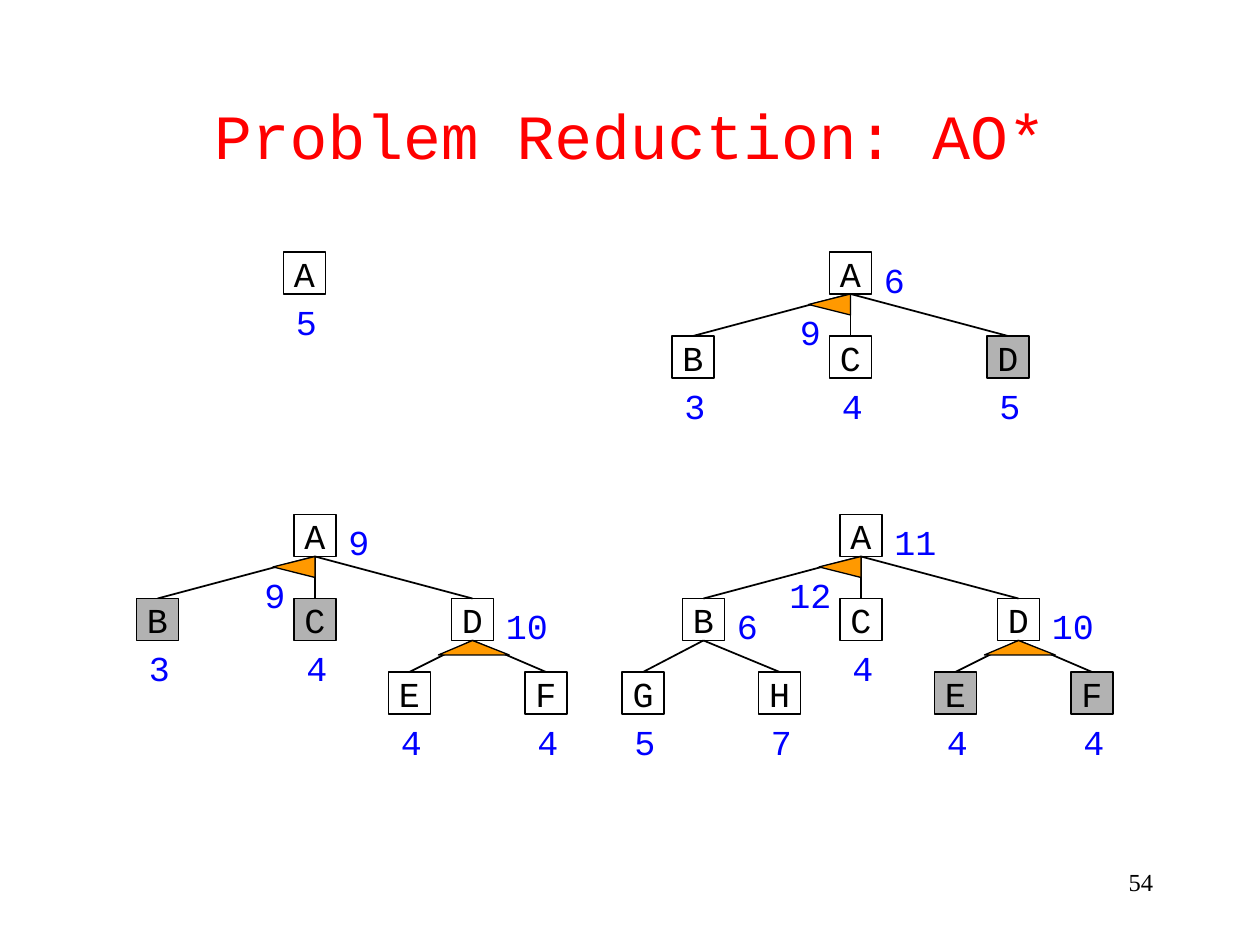
from dataclasses import dataclass
from typing import Any

from lxml import etree
from pptx import Presentation
from pptx.dml.color import RGBColor
from pptx.enum.shapes import MSO_CONNECTOR, MSO_SHAPE
from pptx.enum.text import MSO_ANCHOR, PP_ALIGN
from pptx.oxml.ns import qn
from pptx.util import Pt

PX = 9525
SIDE = 32
HALF = SIDE // 2
TALL = 42
MONO = "Courier New"
SERIF = "Times New Roman"
BLACK = RGBColor(0x00, 0x00, 0x00)
RED = RGBColor(0xFF, 0x00, 0x00)
BLUE = RGBColor(0x00, 0x00, 0xFF)
GREY = RGBColor(0xB2, 0xB2, 0xB2)
AMBER = RGBColor(0xFF, 0x99, 0x00)
RECT = MSO_SHAPE.RECTANGLE
LINE = MSO_CONNECTOR.STRAIGHT
TOP, MIDDLE = MSO_ANCHOR.TOP, MSO_ANCHOR.MIDDLE
LEFT, CENTER, RIGHT = PP_ALIGN.LEFT, PP_ALIGN.CENTER, PP_ALIGN.RIGHT

SIDE_ARC = ((0, 0), (-32, 8), (0, 16))
BASE_ARC = ((-26, 11), (28, 11), (0, 0))


@dataclass(frozen=True)
class Node:
    name: str
    x: int
    y: int
    cost: str
    beside: bool = False
    dark: bool = False
    kids: tuple["Node", ...] = ()
    arc: tuple[tuple[int, int], ...] = ()
    sum: str = ""


def apply(item: Any, looks: dict[str, Any]) -> None:
    for key, value in looks.items():
        setattr(item, key, value)


def write(shape: Any, text: str, size: int, color: RGBColor, font: str = MONO,
          align: PP_ALIGN = LEFT, anchor: MSO_ANCHOR = TOP, wrap: bool = True) -> None:
    frame = shape.text_frame
    apply(frame, {"word_wrap": wrap, "vertical_anchor": anchor})
    para = frame.paragraphs[0]
    para.alignment = align
    run = para.add_run()
    run.text = text
    apply(run.font, {"name": font, "size": Pt(size)})
    run.font.color.rgb = color


def add_text(slide: Any, x: int, y: int, w: int, h: int, text: str, size: int,
             color: RGBColor, **looks: Any) -> None:
    box = slide.shapes.add_textbox(x * PX, y * PX, w * PX, h * PX)
    write(box, text, size, color, **looks)


def width(text: str) -> int:
    return 24 + 16 * len(text)


def add_cost(slide: Any, x: int, y: int, text: str) -> None:
    add_text(slide, x, y, width(text), TALL, text, 20, BLUE)


def add_edge(slide: Any, top: Node, kid: Node) -> None:
    edge = slide.shapes.add_connector(
        LINE, (top.x + HALF) * PX, (top.y + SIDE) * PX, (kid.x + HALF) * PX, kid.y * PX)
    edge.line.color.rgb = BLACK
    edge.line.width = Pt(1)
    etree.SubElement(edge._element.spPr, qn("a:effectLst"))


def add_arc(slide: Any, node: Node) -> None:
    points = [(node.x + HALF + dx, node.y + SIDE + dy) for dx, dy in node.arc]
    pen = slide.shapes.build_freeform(*points[0], scale=PX)
    pen.add_line_segments(points[1:], close=True)
    arc = pen.convert_to_shape()
    arc.shadow.inherit = False
    arc.fill.solid()
    arc.fill.fore_color.rgb = AMBER
    arc.line.color.rgb = BLACK
    arc.line.width = Pt(0.75)


def add_box(slide: Any, node: Node) -> None:
    box = slide.shapes.add_shape(RECT, node.x * PX, node.y * PX, SIDE * PX, SIDE * PX)
    box.shadow.inherit = False
    if node.dark:
        box.fill.solid()
        box.fill.fore_color.rgb = GREY
    else:
        box.fill.background()
    box.line.color.rgb = BLACK
    box.line.width = Pt(1)
    write(box, node.name, 20, BLACK, align=CENTER, anchor=MIDDLE, wrap=False)


def add_tree(slide: Any, node: Node) -> None:
    add_box(slide, node)
    for kid in node.kids:
        add_edge(slide, node, kid)
        add_tree(slide, kid)
    if node.arc:
        add_arc(slide, node)
    if node.sum:
        add_cost(slide, node.x + 8 - width(node.sum), node.y + 40, node.sum)
    if node.beside:
        add_cost(slide, node.x + SIDE, node.y, node.cost)
    else:
        add_cost(slide, node.x, node.y + SIDE, node.cost)


def root(x: int, y: int, cost: str, total: str, *kids: Node) -> Node:
    return Node("A", x, y, cost, True, kids=kids, arc=SIDE_ARC, sum=total)


def pair(x: int, y: int, dark: bool) -> Node:
    kids = (Node("E", x - 48, y + 56, "4", dark=dark),
            Node("F", x + 56, y + 56, "4", dark=dark))
    return Node("D", x, y, "10", True, kids=kids, arc=BASE_ARC)


TREES = (
    Node("A", 216, 192, "5"),
    root(632, 192, "6", "9",
         Node("B", 512, 256, "3"),
         Node("C", 632, 256, "4"),
         Node("D", 752, 256, "5", dark=True)),
    root(224, 392, "9", "9",
         Node("B", 104, 456, "3", dark=True),
         Node("C", 224, 456, "4", dark=True),
         pair(344, 456, False)),
    root(640, 392, "11", "12",
         Node("B", 520, 456, "6", True,
              kids=(Node("G", 474, 512, "5"), Node("H", 578, 512, "7"))),
         Node("C", 640, 456, "4"),
         pair(760, 456, True)),
)


def main() -> None:
    deck = Presentation()
    apply(deck, {"slide_width": 960 * PX, "slide_height": 720 * PX})
    slide = deck.slides.add_slide(deck.slide_layouts[6])
    add_text(slide, 688, 656, 200, 48, "54", 14, BLACK, font=SERIF, align=RIGHT)
    add_text(slide, 72, 42, 816, 120, "Problem Reduction: AO*", 36, RED,
             align=CENTER, anchor=MIDDLE)
    for tree in TREES:
        add_tree(slide, tree)
    deck.save("out.pptx")


if __name__ == "__main__":
    main()
